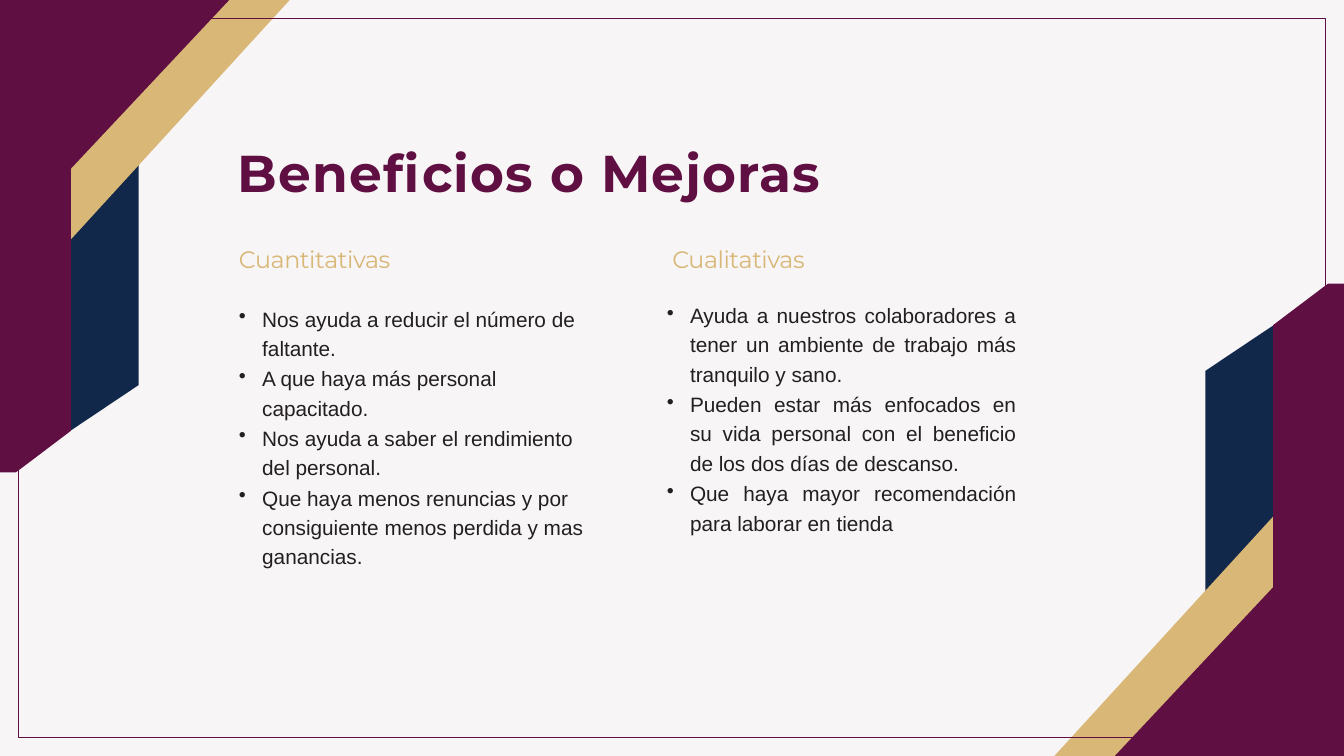
"""Build the slide on quantitative and qualitative benefits."""
from dataclasses import dataclass

from lxml.etree import SubElement
from pptx import Presentation
from pptx.dml.color import RGBColor
from pptx.enum.shapes import MSO_SHAPE as Preset
from pptx.enum.text import PP_ALIGN as Align
from pptx.oxml.ns import qn
from pptx.slide import Slide
from pptx.util import Inches, Pt

WIDTH, HEIGHT = 21.99, 12.37
MARGIN = 0.3
BACKGROUND = RGBColor(0xF8, 0xF5, 0xF7)
BURGUNDY = RGBColor(0x60, 0x0F, 0x42)
GOLD = RGBColor(0xD8, 0xB7, 0x77)
NAVY = RGBColor(0x12, 0x28, 0x4A)
INK = RGBColor(0x23, 0x1F, 0x20)

Point = tuple[float, float]


@dataclass(frozen=True)
class Band:
    color: RGBColor
    points: tuple[Point, ...]


@dataclass(frozen=True)
class TextBlock:
    box: tuple[float, float, float, float]
    lines: tuple[str, ...]
    font: str
    size: float
    color: RGBColor
    bold: bool = False
    tracking: float = 0
    line_spacing: float | Pt = 1.0
    space_before: float = 1
    top_inset: float = 0.01
    align: Align = Align.LEFT
    bulleted: bool = False


BANDS = (
    Band(NAVY, ((2.27, 2.68), (1.15, 3.44), (1.15, 7.05), (2.27, 6.3))),
    Band(GOLD, ((4.74, 0), (3.61, 0), (1.13, 2.45), (1.13, 3.95))),
    Band(BURGUNDY, ((3.75, 0), (0, 0), (0, 7.73), (0.26, 7.73),
                    (1.16, 7.05), (1.16, 2.76))),
)


def heading(left: float, text: str) -> TextBlock:
    return TextBlock((left, 4, 2.86, 0.49), (text,), "Montserrat", 28, GOLD,
                     tracking=-0.5)


def bullet_list(left: float, top: float, height: float, align: Align,
                lines: tuple[str, ...]) -> TextBlock:
    return TextBlock((left, top, 5.73, height), lines, "Arial", 24.5, INK,
                     line_spacing=1.18, space_before=0.9, align=align,
                     bulleted=True)


TEXT_BLOCKS = (
    TextBlock((3.88, 2.27, 10.7, 1.05), ("Beneficios o Mejoras",),
              "Montserrat", 61, BURGUNDY, bold=True, tracking=1.5,
              line_spacing=Pt(72.1), space_before=3, top_inset=0.04),
    heading(3.9, "Cuantitativas"),
    heading(10.99, "Cualitativas"),
    bullet_list(3.9, 4.93, 4.43, Align.LEFT, (
        "Nos ayuda a reducir el número de faltante.",
        "A que haya más personal capacitado.",
        "Nos ayuda a saber el rendimiento del personal.",
        "Que haya menos renuncias y por consiguiente menos perdida y mas ganancias.",
    )),
    bullet_list(10.9, 4.87, 4.93, Align.JUSTIFY, (
        "Ayuda a nuestros colaboradores a tener un ambiente de trabajo más tranquilo y sano.",
        "Pueden estar más enfocados en su vida personal con el beneficio de los dos días de descanso.",
        "Que haya mayor recomendación para laborar en tienda",
    )),
)


def rotate(points: tuple[Point, ...]) -> tuple[Point, ...]:
    return tuple((WIDTH - x, HEIGHT - y) for x, y in points)


def draw_polygon(slide: Slide, points: tuple[Point, ...], color: RGBColor) -> None:
    corners = [(Inches(x), Inches(y)) for x, y in points]
    builder = slide.shapes.build_freeform(*corners[0])
    builder.add_line_segments(corners[1:], close=True)
    shape = builder.convert_to_shape()
    shape.shadow.inherit = False
    shape.fill.solid()
    shape.fill.fore_color.rgb = color
    shape.line.fill.background()


def draw_frame(slide: Slide) -> None:
    frame = slide.shapes.add_shape(
        Preset.RECTANGLE, Inches(MARGIN), Inches(MARGIN),
        Inches(WIDTH - 2 * MARGIN), Inches(HEIGHT - 2 * MARGIN))
    frame.shadow.inherit = False
    frame.fill.background()
    frame.line.color.rgb = BURGUNDY
    frame.line.width = Pt(0.82)


def draw_text(slide: Slide, block: TextBlock) -> None:
    shape = slide.shapes.add_textbox(*(Inches(value) for value in block.box))
    text_frame = shape.text_frame
    text_frame.word_wrap = True
    text_frame.margin_left = text_frame.margin_right = text_frame.margin_bottom = 0
    text_frame.margin_top = Inches(block.top_inset)
    for index, line in enumerate(block.lines):
        paragraph = text_frame.add_paragraph() if index else text_frame.paragraphs[0]
        paragraph.alignment = block.align
        paragraph.line_spacing = block.line_spacing
        paragraph.space_before = Pt(block.space_before)
        properties = paragraph._p.get_or_add_pPr()
        properties.set("marL", str(Inches(0.39 if block.bulleted else 0.01)))
        properties.set("indent", str(Inches(-0.38 if block.bulleted else 0)))
        if block.bulleted:
            SubElement(properties, qn("a:buChar")).set("char", "•")
        run = paragraph.add_run()
        run.text = line
        run.font.name = block.font
        run.font.size = Pt(block.size)
        run.font.bold = block.bold
        run.font.color.rgb = block.color
        if block.tracking:
            run._r.get_or_add_rPr().set("spc", str(int(block.tracking * 100)))


def main() -> None:
    presentation = Presentation()
    presentation.slide_width = Inches(WIDTH)
    presentation.slide_height = Inches(HEIGHT)
    slide = presentation.slides.add_slide(presentation.slide_layouts[6])
    slide.background.fill.solid()
    slide.background.fill.fore_color.rgb = BACKGROUND
    for band in BANDS:
        draw_polygon(slide, band.points, band.color)
        draw_polygon(slide, rotate(band.points), band.color)
    draw_frame(slide)
    for block in TEXT_BLOCKS:
        draw_text(slide, block)
    presentation.save("out.pptx")


if __name__ == "__main__":
    main()
